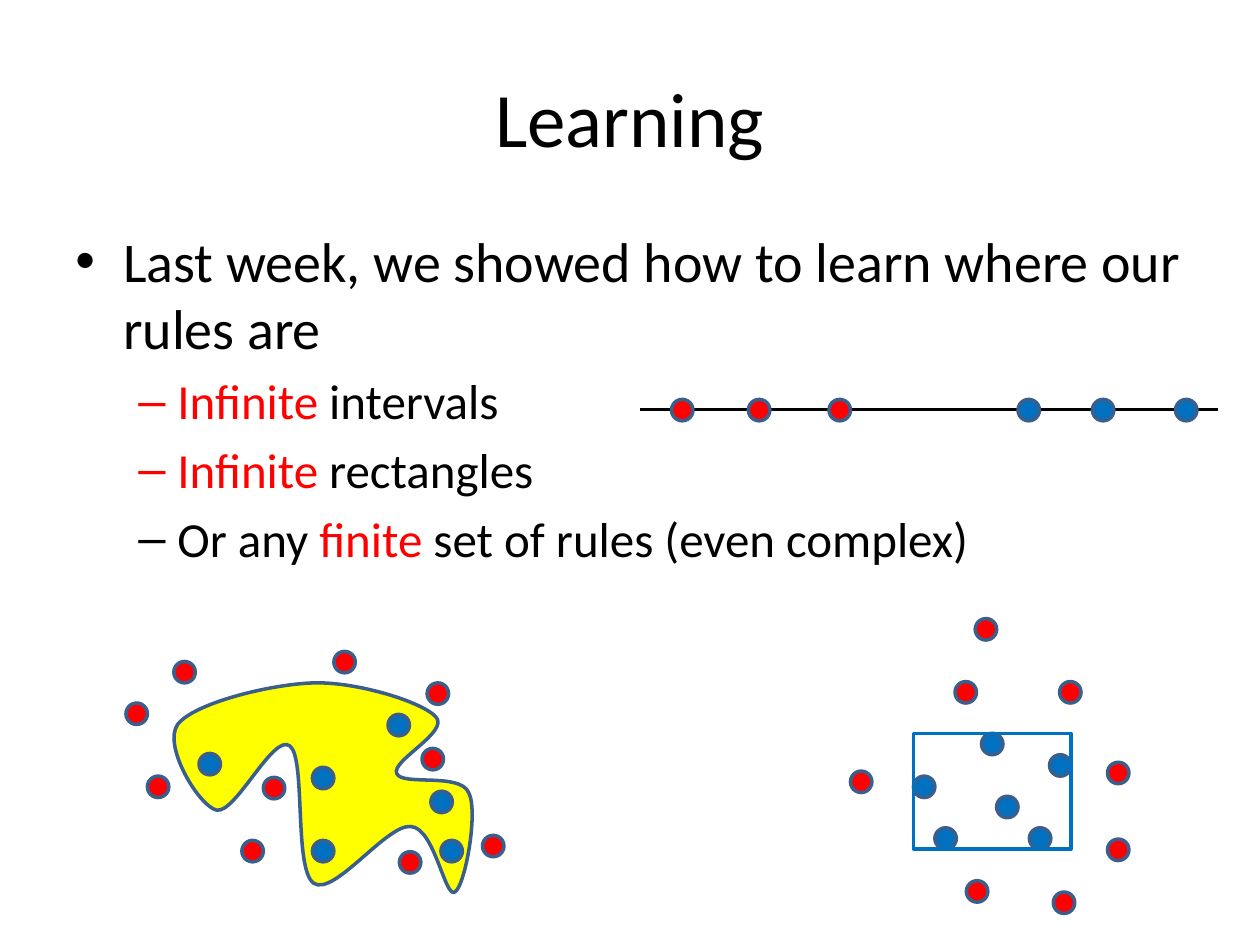
"""Build the slide on learning rules from labelled points."""
from lxml.etree import SubElement
from pptx import Presentation
from pptx.dml.color import RGBColor as Rgb
from pptx.enum.shapes import MSO_CONNECTOR as Conn, MSO_SHAPE as Shape
from pptx.enum.text import MSO_ANCHOR as Anchor, PP_ALIGN as Align
from pptx.oxml.ns import qn
from pptx.util import Inches, Pt

HUES = {"black": "000000", "red": "FF0000", "blue": "0070C0",
        "edge": "3A5F8C", "yellow": "FFFF00"}
FONT = "Calibri"
DOT = 0.17

TITLE = "Learning"
BODY = [
    (0, [("Last week, we showed how to learn where our rules are", "black")]),
    (1, [("Infinite", "red"), (" intervals", "black")]),
    (1, [("Infinite", "red"), (" rectangles", "black")]),
    (1, [("Or any ", "black"), ("finite", "red"),
         (" set of rules (even complex)", "black")]),
]
LEVELS = [("•", 32, 0.38, 0.38), ("–", 28, 0.81, 0.31)]

AXIS = (5.08, 3.25, 9.67, 3.25)
AXIS_DOTS = {
    "red": [(x, 3.17) for x in (5.33, 5.94, 6.58)],
    "blue": [(x, 3.17) for x in (8.08, 8.67, 9.33)],
}
BOX = (7.25, 5.82, 1.25, 0.92)
BOX_IN = {"blue": [(8.17, 6.57), (8.33, 5.99), (7.91, 6.32),
                   (7.79, 5.82), (7.25, 6.16), (7.42, 6.57)]}
BOX_OUT = {"red": [(7.58, 5.41), (7.74, 4.91), (6.75, 6.12), (8.41, 5.41),
                   (8.79, 6.05), (8.36, 7.08), (8.79, 6.66), (7.67, 6.99)]}
BLOB = (1.38, 5.42, 2.37, 1.66)
START = (1.72, 6.43)
CURVES = [
    ((1.87, 6.46), (2.17, 5.82), (2.3, 5.92)),
    ((2.43, 6.01), (2.33, 6.9), (2.49, 7.01)),
    ((2.65, 7.12), (3.07, 6.54), (3.26, 6.56)),
    ((3.45, 6.57), (3.53, 7.13), (3.61, 7.08)),
    ((3.69, 7.04), (3.8, 6.44), (3.72, 6.29)),
    ((3.65, 6.13), (3.19, 6.24), (3.15, 6.14)),
    ((3.1, 6.04), (3.57, 5.81), (3.46, 5.69)),
    ((3.35, 5.57), (2.83, 5.41), (2.49, 5.42)),
    ((2.15, 5.43), (1.54, 5.58), (1.41, 5.75)),
    ((1.29, 5.92), (1.58, 6.4), START),
]
BLOB_DOTS = {
    "blue": [(2.48, 6.67), (3.5, 6.67), (3.08, 5.67),
             (3.42, 6.28), (2.48, 6.09), (1.58, 5.98)],
    "red": [(3.35, 5.94), (1.38, 5.25), (2.09, 6.17), (2.65, 5.17),
            (3.39, 5.42), (1.17, 6.16), (3.83, 6.63), (3.17, 6.76),
            (1, 5.58), (1.92, 6.67)],
}


def hue(name):
    return Rgb.from_string(HUES[name])


def paint(shape, fill, line):
    shape.shadow.inherit = False
    if fill:
        shape.fill.solid()
        shape.fill.fore_color.rgb = hue(fill)
    else:
        shape.fill.background()
    shape.line.color.rgb = hue(line)
    shape.line.width = Pt(2)


def add_dots(shapes, groups):
    for name, spots in groups.items():
        for x, y in spots:
            dot = shapes.add_shape(Shape.OVAL, *map(Inches, (x, y, DOT, DOT)))
            paint(dot, name, "edge")


def add_text(shapes, place, anchor=Anchor.TOP):
    frame = shapes.add_textbox(*map(Inches, place)).text_frame
    frame.word_wrap = True
    frame.vertical_anchor = anchor
    return frame


def add_title(shapes):
    para = add_text(shapes, (0.5, 0.3, 9, 1.25), Anchor.MIDDLE).paragraphs[0]
    para.text = TITLE
    para.alignment = Align.CENTER
    para.font.name, para.font.size = FONT, Pt(44)
    para.font.color.rgb = hue("black")


def add_body(shapes):
    frame = add_text(shapes, (0.5, 1.75, 9, 4.95))
    for i, (level, runs) in enumerate(BODY):
        para = frame.add_paragraph() if i else frame.paragraphs[0]
        mark, size, left, hang = LEVELS[level]
        para.level = level
        para.space_before = Pt(size / 5)
        para.font.name, para.font.size = FONT, Pt(size)
        props = para._p.get_or_add_pPr()
        props.set("marL", str(Inches(left)))
        props.set("indent", str(-Inches(hang)))
        SubElement(props, qn("a:buFont"), typeface="Arial")
        SubElement(props, qn("a:buChar"), char=mark)
        props.append(props.find(qn("a:defRPr")))
        for text, name in runs:
            run = para.add_run()
            run.text = text
            run.font.color.rgb = hue(name)


def add_axis(shapes):
    line = shapes.add_connector(Conn.STRAIGHT, *map(Inches, AXIS))
    line.line.color.rgb = hue("black")
    line.line.width = Pt(2)
    SubElement(line._element.spPr, qn("a:effectLst"))


def add_step(outline, kind, points):
    step = SubElement(outline, qn(f"a:{kind}"))
    for x, y in points:
        SubElement(step, qn("a:pt"), x=str(Inches(x - BLOB[0])),
                   y=str(Inches(y - BLOB[1])))


def add_blob(shapes):
    pen = shapes.build_freeform(*map(Inches, START))
    pen.add_line_segments([tuple(map(Inches, c[-1])) for c in CURVES])
    blob = pen.convert_to_shape()
    blob.left, blob.top, blob.width, blob.height = map(Inches, BLOB)
    outline = next(blob._element.iter(qn("a:path")))
    for step in list(outline):
        outline.remove(step)
    outline.set("w", str(blob.width))
    outline.set("h", str(blob.height))
    add_step(outline, "moveTo", [START])
    for curve in CURVES:
        add_step(outline, "cubicBezTo", curve)
    SubElement(outline, qn("a:close"))
    paint(blob, "yellow", "edge")


def main():
    deck = Presentation()
    deck.slide_width, deck.slide_height = Inches(10), Inches(7.5)
    shapes = deck.slides.add_slide(deck.slide_layouts[6]).shapes
    add_title(shapes)
    add_body(shapes)
    add_axis(shapes)
    add_dots(shapes, AXIS_DOTS)
    add_dots(shapes, BOX_IN)
    paint(shapes.add_shape(Shape.RECTANGLE, *map(Inches, BOX)), None, "blue")
    add_dots(shapes, BOX_OUT)
    add_blob(shapes)
    add_dots(shapes, BLOB_DOTS)
    deck.save("out.pptx")


if __name__ == "__main__":
    main()
